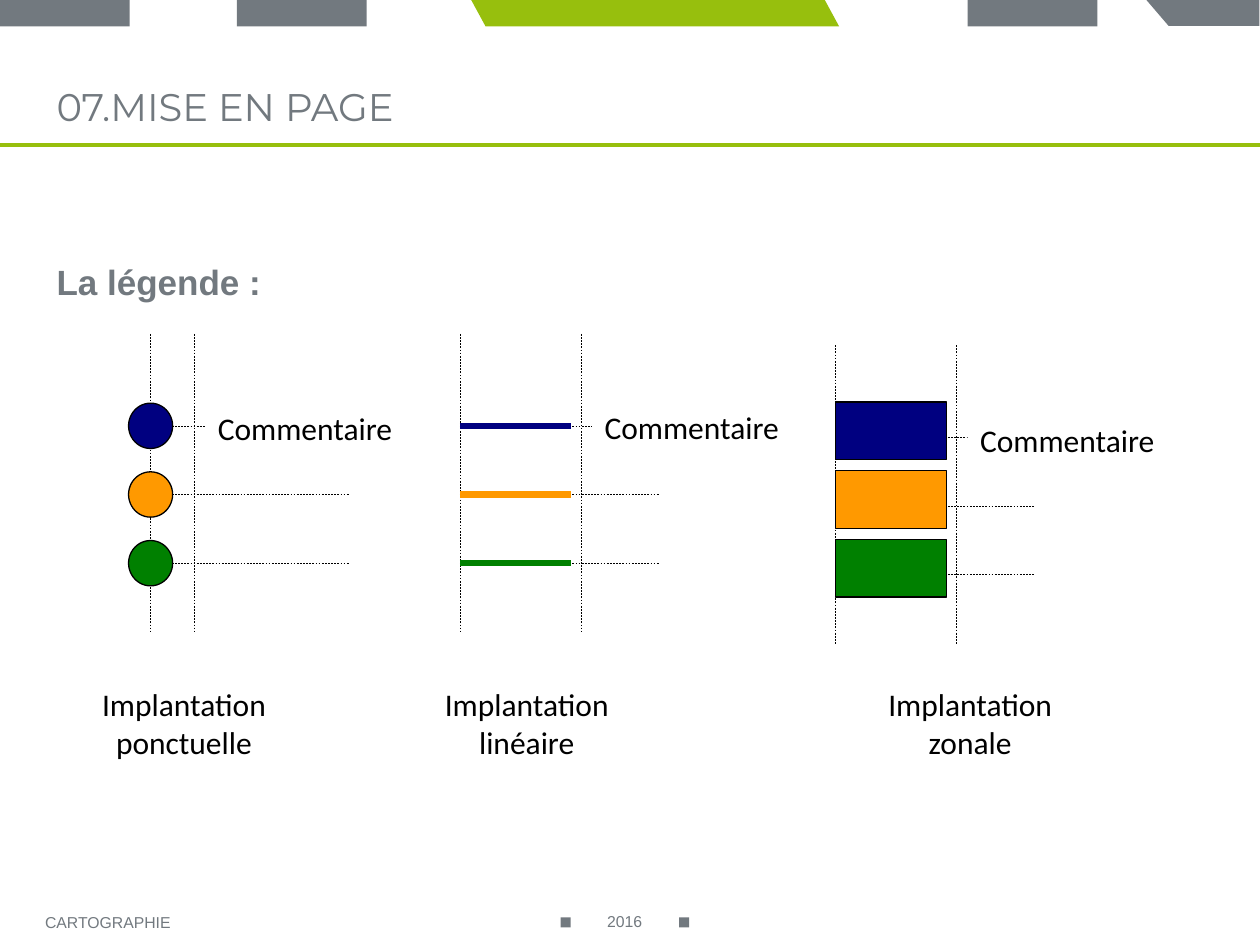
from dataclasses import dataclass

from lxml import etree
from pptx import Presentation
from pptx import util as u
from pptx.dml.color import RGBColor
from pptx.enum import dml, shapes, text
from pptx.oxml.ns import qn

GREY, LIME, BLACK, WHITE = "72797F", "97BF0D", "000000", "FFFFFF"
ROW_COLORS = ("000080", "FF9900", "008000")
ROW_STEP = 0.545
SHAPE = shapes.MSO_SHAPE


@dataclass
class Panel:
    mark: str            # kind of symbol: point, line or area
    left: float          # first vertical guide
    top: float
    gap: float           # distance between the vertical guides
    comment: tuple[float, float, float]         # left, top, width
    caption: str
    caption_at: tuple[float, float]             # left, width


PANELS = (
    Panel("line", 3.65, 2.65, 0.96, (4.7, 3.19, 1.64),
          "Implantation linéaire", (3.39, 1.58)),
    Panel("point", 1.19, 2.65, 0.35, (1.63, 3.2, 1.71),
          "Implantation ponctuelle", (0.67, 1.58)),
    Panel("area", 6.63, 2.74, 0.96, (7.68, 3.29, 1.65),
          "Implantation zonale", (6.81, 1.78)),
)


def rgb(value: str) -> RGBColor:
    return RGBColor.from_string(value)


def add_shape(s, kind, left: float, top: float, width: float, height: float,
              fill: str, line: str | None = None):
    sp = s.shapes.add_shape(kind, *map(u.Inches, (left, top, width, height)))
    sp.shadow.inherit = False
    sp.fill.solid()
    sp.fill.fore_color.rgb = rgb(fill)
    if line:
        sp.line.color.rgb = rgb(line)
        sp.line.width = u.Pt(0.75)
    else:
        sp.line.fill.background()
    return sp


def add_line(s, x1: float, y1: float, x2: float, y2: float,
             color: str, width: float, dashed: bool = False) -> None:
    line = s.shapes.add_connector(shapes.MSO_CONNECTOR.STRAIGHT,
                                  *map(u.Inches, (x1, y1, x2, y2)))
    line.line.color.rgb = rgb(color)
    line.line.width = u.Pt(width)
    if dashed:
        line.line.dash_style = dml.MSO_LINE.DASH
    etree.SubElement(line._element.spPr, qn("a:effectLst"))


def write(sp, words: str, font: str, size: float, color: str,
          bold: bool = False, centered: bool = False, middle: bool = False) -> None:
    tf = sp.text_frame
    tf.word_wrap = True
    tf.vertical_anchor = text.MSO_ANCHOR.MIDDLE if middle else text.MSO_ANCHOR.TOP
    p = tf.paragraphs[0]
    p.text = words
    p.alignment = text.PP_ALIGN.CENTER if centered else text.PP_ALIGN.LEFT
    p.font.name, p.font.size, p.font.bold = font, u.Pt(size), bold
    p.font.color.rgb = rgb(color)


def add_text(s, left: float, top: float, width: float, height: float,
             words: str, font: str, size: float, bold: bool = False,
             middle: bool = True) -> None:
    sp = s.shapes.add_textbox(*map(u.Inches, (left, top, width, height)))
    write(sp, words, font, size, GREY, bold, middle=middle)


def add_label(s, left: float, top: float, width: float, height: float,
              words: str, centered: bool = False) -> None:
    sp = add_shape(s, SHAPE.RECTANGLE, left, top, width, height, WHITE)
    write(sp, words, "Calibri", 18, BLACK, centered=centered)


def add_mark(s, panel: Panel, row: int, color: str) -> None:
    y = panel.top + 0.73 + row * ROW_STEP
    if panel.mark == "line":
        add_line(s, panel.left, y, panel.left + 0.88, y, color, 3.5)
    elif panel.mark == "point":
        add_shape(s, SHAPE.OVAL, panel.left - 0.17, y - 0.18, 0.35, 0.36, color, BLACK)
    else:
        add_shape(s, SHAPE.RECTANGLE, panel.left, y - 0.28, 0.88, 0.46, color, BLACK)


def add_panel(s, panel: Panel) -> None:
    # Dashed guides
    for x in (panel.left, panel.left + panel.gap):
        add_line(s, x, panel.top, x, panel.top + 2.37, BLACK, 0.25, True)
    for row in range(len(ROW_COLORS)):
        y = panel.top + 0.73 + row * ROW_STEP
        add_line(s, panel.left, y, panel.left + 1.58, y, BLACK, 0.25, True)
    # Symbols and wording
    for row, color in enumerate(ROW_COLORS):
        add_mark(s, panel, row, color)
    add_label(s, *panel.comment, 0.4, "Commentaire")
    left, width = panel.caption_at
    add_label(s, left, 5.39, width, 0.7, panel.caption, centered=True)


def add_frame(s) -> None:
    # Top band
    add_line(s, 0, 1.15, 10, 1.15, LIME, 2.25)
    for left in (0, 1.88, 7.68):
        add_shape(s, SHAPE.RECTANGLE, left, 0, 1.03, 0.21, GREY)
    tab = add_shape(s, SHAPE.PARALLELOGRAM, 3.74, 0, 2.92, 0.21, LIME)
    tab.adjustments[0] = 0.544
    tab._element.spPr.find(qn("a:xfrm")).set("flipH", "1")
    corner = add_shape(s, SHAPE.FLOWCHART_MANUAL_INPUT, 9.44, -0.35, 0.21, 0.9, GREY)
    corner.rotation = 270
    # Footer
    for left in (4.45, 5.39):
        add_shape(s, SHAPE.RECTANGLE, left, 7.28, 0.08, 0.08, GREY)
    add_text(s, 4.72, 7.11, 1.06, 0.4, "2016", "Arial", 9)
    add_text(s, 0.26, 7.12, 3.17, 0.4, "CARTOGRAPHIE", "Arial", 9)


def main() -> None:
    prs = Presentation()
    prs.slide_width, prs.slide_height = u.Inches(10), u.Inches(7.5)
    s = prs.slides.add_slide(prs.slide_layouts[6])
    add_frame(s)
    # Headings
    add_text(s, 0.35, 0.54, 9.15, 0.61, "07.MISE EN PAGE", "Montserrat", 22)
    add_text(s, 0.35, 2.02, 9.15, 4.84, "La légende :", "Arial", 20,
             bold=True, middle=False)
    # Legend examples
    for panel in PANELS:
        add_panel(s, panel)
    prs.save("out.pptx")


if __name__ == "__main__":
    main()
